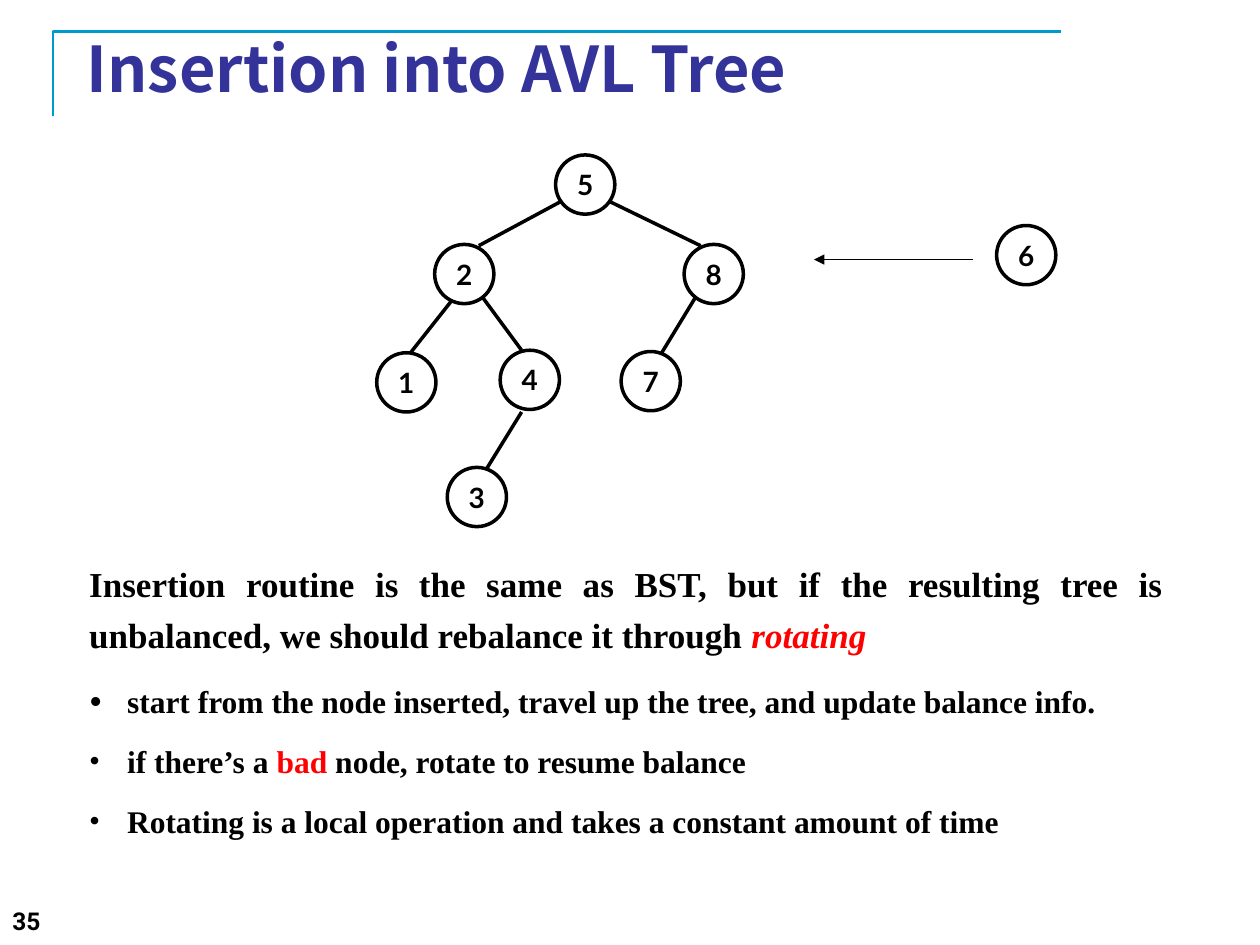
from pptx import Presentation
from pptx.dml.color import RGBColor
from pptx.enum.shapes import MSO_CONNECTOR, MSO_SHAPE
from pptx.enum.text import MSO_ANCHOR, PP_ALIGN
from pptx.oxml.ns import qn
from pptx.util import Inches, Pt
from lxml import etree

OVAL = MSO_SHAPE.OVAL
STRAIGHT = MSO_CONNECTOR.STRAIGHT
MIDDLE, TOP = MSO_ANCHOR.MIDDLE, MSO_ANCHOR.TOP
CENTER, JUSTIFY, LEFT = PP_ALIGN.CENTER, PP_ALIGN.JUSTIFY, PP_ALIGN.LEFT

THEME = {
    "black": "000000", "white": "FFFFFF", "red": "FF0000",
    "title": "333399", "frame": "0099CC",
    "title_font": "Noto Sans CJK KR", "body_font": "Times New Roman",
    "node_font": "Lato", "number_font": "Roboto",
    "title_size": 36, "lead_size": 20, "bullet_size": 18,
    "node_size": 16, "number_size": 14,
}

TITLE = "Insertion into AVL Tree"
PAGE = "35"
LEAD = [
    ("Insertion routine is the same as BST, but if the resulting tree is "
     "unbalanced, we should rebalance it through ", {}),
    ("rotating", {"color": "red", "italic": True}),
]
BULLETS = [
    [("start from the node inserted, travel up the tree, and update balance info.", {})],
    [("if there’s a ", {}), ("bad", {"color": "red"}),
     (" node, rotate to resume balance", {})],
    [("Rotating is a local operation and takes a constant amount of time", {})],
]
NODE_SIZE = 0.47
NODES = {
    "5": (4.41, 1.23), "2": (3.45, 1.94), "8": (5.43, 1.94),
    "1": (2.99, 2.8), "4": (3.97, 2.78), "7": (4.93, 2.79),
    "3": (3.55, 3.71), "6": (7.91, 1.79),
}
EDGES = [
    ((4.45, 1.6), (3.8, 1.95)), ((4.84, 1.6), (5.56, 1.95)),
    ((3.59, 2.38), (3.25, 2.81)), ((3.83, 2.36), (4.14, 2.78)),
    ((5.52, 2.36), (5.24, 2.82)), ((4.14, 3.27), (3.85, 3.74)),
]
INSERT_ARROW = ((7.72, 2.06), (6.46, 2.06))
FRAME = [(0.42, 0.92), (0.42, 0.25), (8.42, 0.25)]


def color(name):
    return RGBColor.from_string(THEME[name])


def add_text(p, text, role="body", size="lead_size", color_name="black",
             bold=True, italic=False):
    r = p.add_run()
    r.text = text
    f = r.font
    f.name, f.size = THEME[f"{role}_font"], Pt(THEME[size])
    f.bold, f.italic = bold, italic
    f.color.rgb = color(color_name)
    for tag in ("a:ea", "a:cs"):
        etree.SubElement(r._r.get_or_add_rPr(), qn(tag), typeface=f.name)


def add_runs(p, runs, size):
    for text, style in runs:
        add_text(p, text, size=size, color_name=style.get("color", "black"),
                 italic=style.get("italic", False))


def add_box(slide, box, anchor=TOP, align=LEFT):
    tf = slide.shapes.add_textbox(*map(Inches, box)).text_frame
    tf.word_wrap, tf.vertical_anchor = True, anchor
    tf.paragraphs[0].alignment = align
    return tf


def add_bullet(p, percent):
    pPr = p._p.get_or_add_pPr()
    indent = Inches(0.3)
    pPr.set("marL", str(indent))
    pPr.set("indent", str(-indent))
    etree.SubElement(pPr, qn("a:buSzPct"), val=str(percent * 1000))
    etree.SubElement(pPr, qn("a:buFont"), typeface=THEME["body_font"])
    etree.SubElement(pPr, qn("a:buChar"), char="•")


def add_line(slide, start, end, width, arrow=False):
    line = slide.shapes.add_connector(STRAIGHT, *map(Inches, start + end))
    line.line.color.rgb, line.line.width = color("black"), Pt(width)
    if arrow:
        etree.SubElement(line.line._get_or_add_ln(), qn("a:tailEnd"), type="triangle")
    etree.SubElement(line._element.spPr, qn("a:effectLst"))


def add_node(slide, label, position):
    sp = slide.shapes.add_shape(OVAL, *map(Inches, position + (NODE_SIZE, NODE_SIZE)))
    sp.shadow.inherit = False
    sp.fill.solid()
    sp.fill.fore_color.rgb = color("white")
    sp.line.color.rgb, sp.line.width = color("black"), Pt(2)
    tf = sp.text_frame
    tf.word_wrap, tf.vertical_anchor = False, MIDDLE
    p = tf.paragraphs[0]
    p.alignment = CENTER
    add_text(p, label, role="node", size="node_size")


def add_frame(slide):
    points = [(Inches(x), Inches(y)) for x, y in FRAME]
    builder = slide.shapes.build_freeform(*points[0])
    builder.add_line_segments(points[1:], close=False)
    sp = builder.convert_to_shape()
    sp.shadow.inherit = False
    sp.fill.background()
    sp.line.color.rgb, sp.line.width = color("frame"), Pt(1.5)


def add_body(slide):
    tf = add_box(slide, (0.61, 4.35, 8.72, 2.39), align=JUSTIFY)
    p = tf.paragraphs[0]
    p.line_spacing = 1.2
    add_runs(p, LEAD, "lead_size")
    for i, runs in enumerate(BULLETS):
        p = tf.add_paragraph()
        p.alignment, p.line_spacing = JUSTIFY, 1.1
        p.space_before = Pt(10.4 if i else 13.5)
        add_bullet(p, 100 if i else 120)
        add_runs(p, runs, "bullet_size")


def main():
    prs = Presentation()
    prs.slide_width, prs.slide_height = Inches(10), Inches(7.5)
    s = prs.slides.add_slide(prs.slide_layouts[6])
    add_frame(s)
    number = add_box(s, (0, 7.14, 3.12, 0.36))
    add_text(number.paragraphs[0], PAGE, role="number", size="number_size")
    add_body(s)
    title = add_box(s, (0.59, 0.3, 8.5, 0.47), anchor=MIDDLE, align=JUSTIFY)
    add_text(title.paragraphs[0], TITLE, role="title", size="title_size",
             color_name="title")
    for start, end in EDGES:
        add_line(s, start, end, 2)
    for label, position in NODES.items():
        add_node(s, label, position)
    add_line(s, *INSERT_ARROW, 0.75, arrow=True)
    prs.save("out.pptx")


if __name__ == "__main__":
    main()
